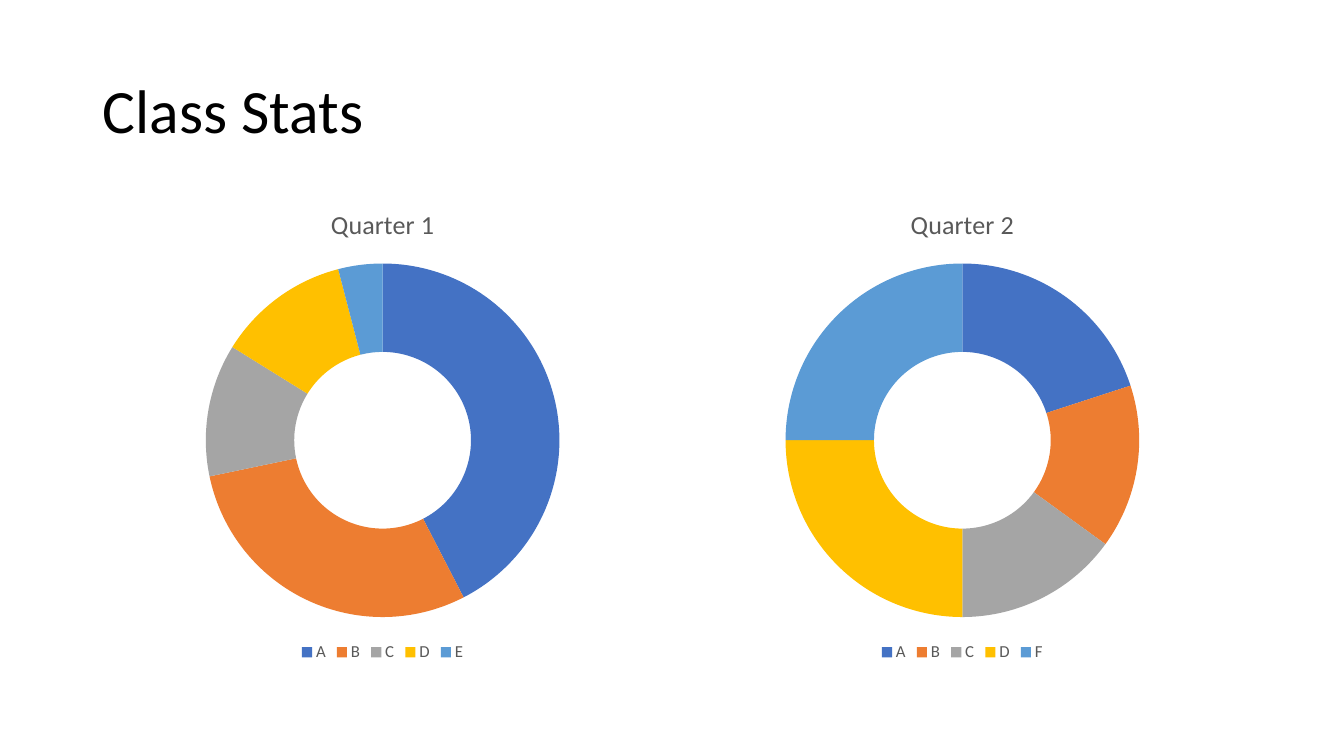
from pptx import Presentation
from pptx.chart.data import CategoryChartData
from pptx.dml.color import RGBColor
from pptx.enum import chart as ch, text
from pptx.util import Inches, Pt

TITLE = "Class Stats"
QUARTERS = [
    ("Quarter 1", {"A": 42, "B": 29, "C": 12, "D": 12, "E": 4}),
    ("Quarter 2", {"A": 20, "B": 15, "C": 15, "D": 25, "F": 25}),
]
GRADE_COLORS = ["4472C4", "ED7D31", "A5A5A5", "FFC000", "5B9BD5"]
BLACK, GRAY = "000000", "595959"
FONT = "Calibri"
LEFT, WIDTH = 0.92, 11.5
CHART_TOP, CHART_HEIGHT = 1.85, 4.76
HOLE_PERCENT = 50


def style_font(font, size, color):
    font.name, font.size, font.bold = FONT, Pt(size), False
    font.color.rgb = RGBColor.from_string(color)


def add_title(slide):
    box = slide.shapes.title
    box.left, box.top = Inches(LEFT), Inches(0.4)
    box.width, box.height = Inches(WIDTH), Inches(1.45)
    box.text_frame.vertical_anchor = text.MSO_ANCHOR.MIDDLE
    para = box.text_frame.paragraphs[0]
    para.alignment = text.PP_ALIGN.LEFT
    para.line_spacing = 0.9
    span = para.add_run()
    span.text = TITLE
    style_font(span.font, 44, BLACK)


def add_doughnut(slide, left, width, name, grades):
    data = CategoryChartData()
    data.categories = list(grades)
    data.add_series("Series 1", list(grades.values()))
    chart = slide.shapes.add_chart(
        ch.XL_CHART_TYPE.DOUGHNUT, Inches(left), Inches(CHART_TOP),
        Inches(width), Inches(CHART_HEIGHT), data).chart
    style_font(chart.font, 10, BLACK)

    chart.has_title = True
    chart.chart_title.include_in_layout = False
    span = chart.chart_title.text_frame.paragraphs[0].add_run()
    span.text = name
    style_font(span.font, 18.6, GRAY)

    chart.has_legend = True
    chart.legend.position = ch.XL_LEGEND_POSITION.BOTTOM
    chart.legend.include_in_layout = False
    style_font(chart.legend.font, 12, GRAY)

    plot = chart.plots[0]
    plot.vary_by_categories = True
    for hole in plot._element.xpath("c:holeSize"):
        hole.set("val", str(HOLE_PERCENT))
    for index, color in enumerate(GRADE_COLORS):
        slice_format = plot.series[0].points[index].format
        slice_format.fill.solid()
        slice_format.fill.fore_color.rgb = RGBColor.from_string(color)
        slice_format.line.fill.background()


def main():
    deck = Presentation()
    deck.slide_width, deck.slide_height = Inches(13.33), Inches(7.5)
    slide = deck.slides.add_slide(deck.slide_layouts.get_by_name("Title Only"))
    add_title(slide)
    chart_width = WIDTH / len(QUARTERS)
    for column, (name, grades) in enumerate(QUARTERS):
        add_doughnut(slide, LEFT + column * chart_width, chart_width, name, grades)
    deck.save("out.pptx")


if __name__ == "__main__":
    main()
